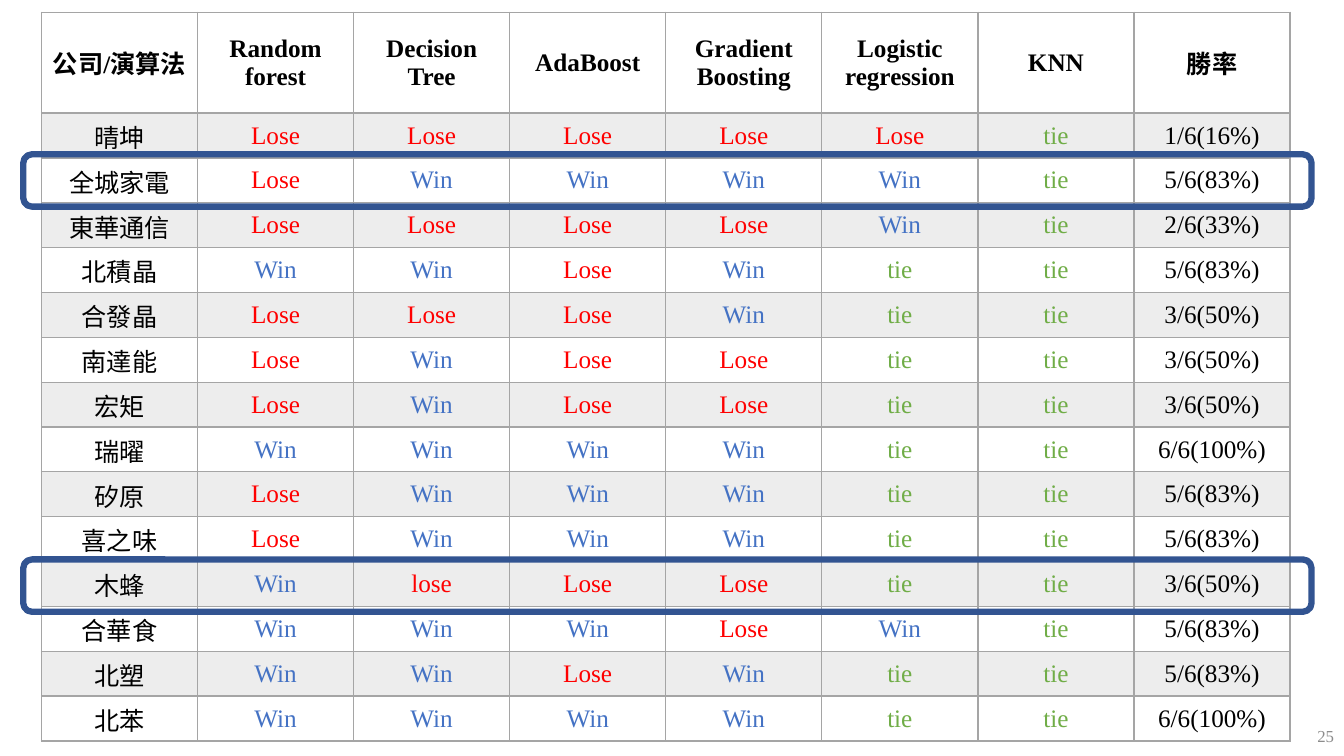
import pptx
import pptx.util
import pptx.dml.color
import pptx.enum.shapes
import pptx.enum.text
import pptx.oxml
import pptx.oxml.ns

Pt = pptx.util.Pt
RGBColor = pptx.dml.color.RGBColor

FONT = "Times New Roman"
BLACK = RGBColor(0x00, 0x00, 0x00)
WHITE = RGBColor(0xFF, 0xFF, 0xFF)
GREY = RGBColor(0xA5, 0xA5, 0xA5)
PAGE_GREY = RGBColor(0x8C, 0x8C, 0x8C)
NAVY = RGBColor(0x32, 0x54, 0x91)
RESULT_COLORS = {
    "lose": RGBColor(0xFF, 0x00, 0x00),
    "win": RGBColor(0x44, 0x72, 0xC4),
    "tie": RGBColor(0x70, 0xAD, 0x47),
}

HEADINGS = ["公司/演算法", "Random forest", "Decision Tree", "AdaBoost",
            "Gradient Boosting", "Logistic regression", "KNN", "勝率"]
COMPANIES = [
    "晴坤 Lose Lose Lose Lose Lose tie 1/6(16%)",
    "全城家電 Lose Win Win Win Win tie 5/6(83%)",
    "東華通信 Lose Lose Lose Lose Win tie 2/6(33%)",
    "北積晶 Win Win Lose Win tie tie 5/6(83%)",
    "合發晶 Lose Lose Lose Win tie tie 3/6(50%)",
    "南達能 Lose Win Lose Lose tie tie 3/6(50%)",
    "宏矩 Lose Win Lose Lose tie tie 3/6(50%)",
    "瑞曜 Win Win Win Win tie tie 6/6(100%)",
    "矽原 Lose Win Win Win tie tie 5/6(83%)",
    "喜之味 Lose Win Win Win tie tie 5/6(83%)",
    "木蜂 Win lose Lose Lose tie tie 3/6(50%)",
    "合華食 Win Win Win Lose Win tie 5/6(83%)",
    "北塑 Win Win Lose Win tie tie 5/6(83%)",
    "北苯 Win Win Win Win tie tie 6/6(100%)",
]
HEADER_HEIGHT = 72
ROW_HEIGHT = 32.04
COLUMN_WIDTH = 111.51


def set_borders(cell, bottom_width):
    """Draw grey borders, 1 pt wide except at the bottom."""
    properties = cell._tc.get_or_add_tcPr()
    for position, side in enumerate(("lnL", "lnR", "lnT", "lnB")):
        width = Pt(bottom_width if side == "lnB" else 1)
        properties.insert(position, pptx.oxml.parse_xml(
            f'<a:{side} {pptx.oxml.ns.nsdecls("a")} w="{width}"><a:solidFill>'
            f'<a:srgbClr val="{GREY}"/></a:solidFill></a:{side}>'))


presentation = pptx.Presentation()
presentation.slide_width = Pt(960)
presentation.slide_height = Pt(540)
slide = presentation.slides.add_slide(presentation.slide_layouts[6])

page_number = slide.shapes.add_textbox(Pt(744), Pt(511.2), Pt(216), Pt(28.8)).text_frame
page_number.word_wrap = True
page_number.vertical_anchor = pptx.enum.text.MSO_ANCHOR.MIDDLE
page_line = page_number.paragraphs[0]
page_line.text = "25"
page_line.alignment = pptx.enum.text.PP_ALIGN.RIGHT
page_line.font.name = FONT
page_line.font.size = Pt(12)
page_line.font.color.rgb = PAGE_GREY

results = [HEADINGS] + [company.split() for company in COMPANIES]
win_rates = slide.shapes.add_table(
    len(results), len(HEADINGS), Pt(29.6), Pt(8.8),
    Pt(COLUMN_WIDTH * len(HEADINGS)),
    Pt(HEADER_HEIGHT + ROW_HEIGHT * len(COMPANIES))).table
win_rates.first_row = False
win_rates.horz_banding = False
for column in win_rates.columns:
    column.width = Pt(COLUMN_WIDTH)

for row_number, values in enumerate(results):
    is_header = row_number == 0
    win_rates.rows[row_number].height = Pt(HEADER_HEIGHT if is_header else ROW_HEIGHT)
    for column_number, value in enumerate(values):
        cell = win_rates.cell(row_number, column_number)
        cell.vertical_anchor = pptx.enum.text.MSO_ANCHOR.MIDDLE
        cell.fill.solid()
        cell.fill.fore_color.rgb = WHITE
        if row_number % 2:
            cell.fill.fore_color.rgb = GREY
            tint = cell._tc.tcPr.find(".//" + pptx.oxml.ns.qn("a:srgbClr"))
            tint.append(pptx.oxml.parse_xml(
                f'<a:alpha {pptx.oxml.ns.nsdecls("a")} val="20000"/>'))
        set_borders(cell, 2 if is_header else 1)
        line = cell.text_frame.paragraphs[0]
        line.text = value
        line.alignment = pptx.enum.text.PP_ALIGN.CENTER
        line.font.name = FONT
        line.font.size = Pt(18)
        line.font.bold = is_header
        line.font.color.rgb = RESULT_COLORS.get(value.lower(), BLACK)

for highlight_top in (110.2, 399.6):
    highlight = slide.shapes.add_shape(
        pptx.enum.shapes.MSO_SHAPE.ROUNDED_RECTANGLE,
        Pt(16.6), Pt(highlight_top), Pt(920.2), Pt(37.4))
    highlight.shadow.inherit = False
    highlight.fill.background()
    highlight.line.color.rgb = NAVY
    highlight.line.width = Pt(4.5)

presentation.save("out.pptx")
